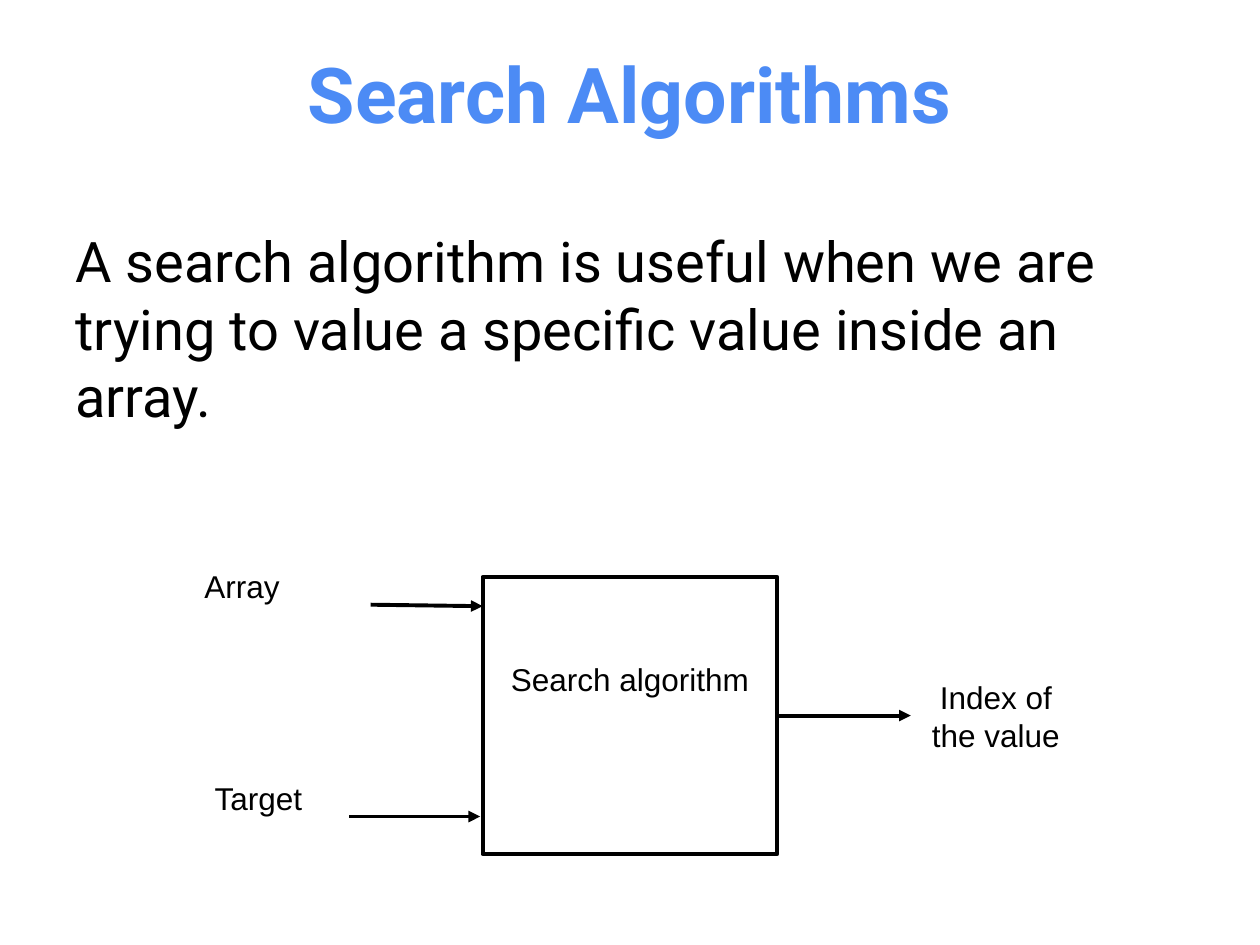
from dataclasses import dataclass

from lxml import etree
from pptx import Presentation
from pptx.dml.color import RGBColor
from pptx.enum.shapes import MSO_CONNECTOR, MSO_SHAPE
from pptx.enum.text import MSO_ANCHOR, MSO_AUTO_SIZE, PP_ALIGN
from pptx.oxml.ns import qn
from pptx.util import Cm, Pt

LEFT, CENTER = PP_ALIGN.LEFT, PP_ALIGN.CENTER
TOP, MIDDLE = MSO_ANCHOR.TOP, MSO_ANCHOR.MIDDLE
NO_FIT = MSO_AUTO_SIZE.NONE
RECTANGLE, STRAIGHT = MSO_SHAPE.RECTANGLE, MSO_CONNECTOR.STRAIGHT
TITLE_ONLY = 5


@dataclass(frozen=True)
class Theme:
    heading_font: str = "Roboto"
    label_font: str = "Arial"
    accent: RGBColor = RGBColor(0x4C, 0x8B, 0xF5)
    ink: RGBColor = RGBColor(0, 0, 0)
    title_size: int = 44
    body_size: int = 32
    label_size: int = 18
    line_width: float = 2.25


class SlideBuilder:
    """Draws styled elements on the current slide, with lengths in centimetres."""

    def __init__(self, slide, theme):
        self.s = slide
        self.theme = theme

    def set_text(self, sp, text, font, size, color, align=CENTER, anchor=TOP, bold=False):
        tf = sp.text_frame
        tf.text = text
        tf.word_wrap = True
        tf.auto_size = NO_FIT
        tf.vertical_anchor = anchor
        p = tf.paragraphs[0]
        p.alignment = align
        r = p.runs[0]
        r.font.name = font
        r.font.size = Pt(size)
        r.font.bold = bold
        r.font.color.rgb = color

    def title(self, text, x, y, w, h):
        t = self.theme
        sp = self.s.shapes.title
        sp.left, sp.top, sp.width, sp.height = Cm(x), Cm(y), Cm(w), Cm(h)
        self.set_text(sp, text, t.heading_font, t.title_size, t.accent, anchor=MIDDLE, bold=True)

    def body(self, text, x, y, w, h):
        t = self.theme
        sp = self.s.shapes.add_textbox(Cm(x), Cm(y), Cm(w), Cm(h))
        self.set_text(sp, text, t.heading_font, t.body_size, t.ink, align=LEFT)

    def label(self, text, x, y, w, h):
        t = self.theme
        sp = self.s.shapes.add_textbox(Cm(x), Cm(y), Cm(w), Cm(h))
        self.set_text(sp, text, t.label_font, t.label_size, t.ink)

    def box(self, text, x, y, w, h, bottom_inset):
        t = self.theme
        sp = self.s.shapes.add_shape(RECTANGLE, Cm(x), Cm(y), Cm(w), Cm(h))
        sp.shadow.inherit = False
        sp.fill.background()
        sp.line.color.rgb = t.ink
        sp.line.width = Pt(t.line_width)
        self.set_text(sp, text, t.label_font, t.label_size, t.ink, anchor=MIDDLE)
        sp.text_frame.word_wrap = False
        sp.text_frame.margin_bottom = Cm(bottom_inset)

    def arrow(self, x1, y1, x2, y2):
        cx = self.s.shapes.add_connector(STRAIGHT, Cm(x1), Cm(y1), Cm(x2), Cm(y2))
        cx.line.color.rgb = self.theme.ink
        cx.line.width = Pt(self.theme.line_width)
        sp_pr = cx._element.spPr
        etree.SubElement(sp_pr.find(qn("a:ln")), qn("a:tailEnd"), type="triangle")
        etree.SubElement(sp_pr, qn("a:effectLst"))


def main():
    prs = Presentation()
    prs.slide_width, prs.slide_height = Cm(25.4), Cm(19.05)
    s = prs.slides.add_slide(prs.slide_layouts[TITLE_ONLY])
    b = SlideBuilder(s, Theme())

    margin, content_w = 1.27, 22.86
    b.title("Search Algorithms", margin, 0.76, content_w, 2.21)
    b.body(
        "A search algorithm is useful when we are trying to value "
        "a specific value inside an array.",
        margin, 4.45, content_w, 4.52,
    )

    box_x, box_y, box_w, box_h = 9.73, 11.63, 5.94, 5.59
    box_right, box_mid = box_x + box_w, box_y + box_h / 2
    output_x = 18.36
    b.box("Search algorithm", box_x, box_y, box_w, box_h, bottom_inset=1.59)

    b.label("Array", 2.29, 11.3, 5.18, 1.02)
    b.arrow(7.47, 12.19, box_x, 12.22)
    b.label("Target", 3.38, 15.57, 3.66, 1.02)
    b.arrow(7.04, 16.46, 9.68, 16.46)
    b.label("Index of the value", output_x, 13.54, 3.43, 1.8)
    b.arrow(box_right, box_mid, output_x, box_mid)

    prs.save("out.pptx")


if __name__ == "__main__":
    main()
